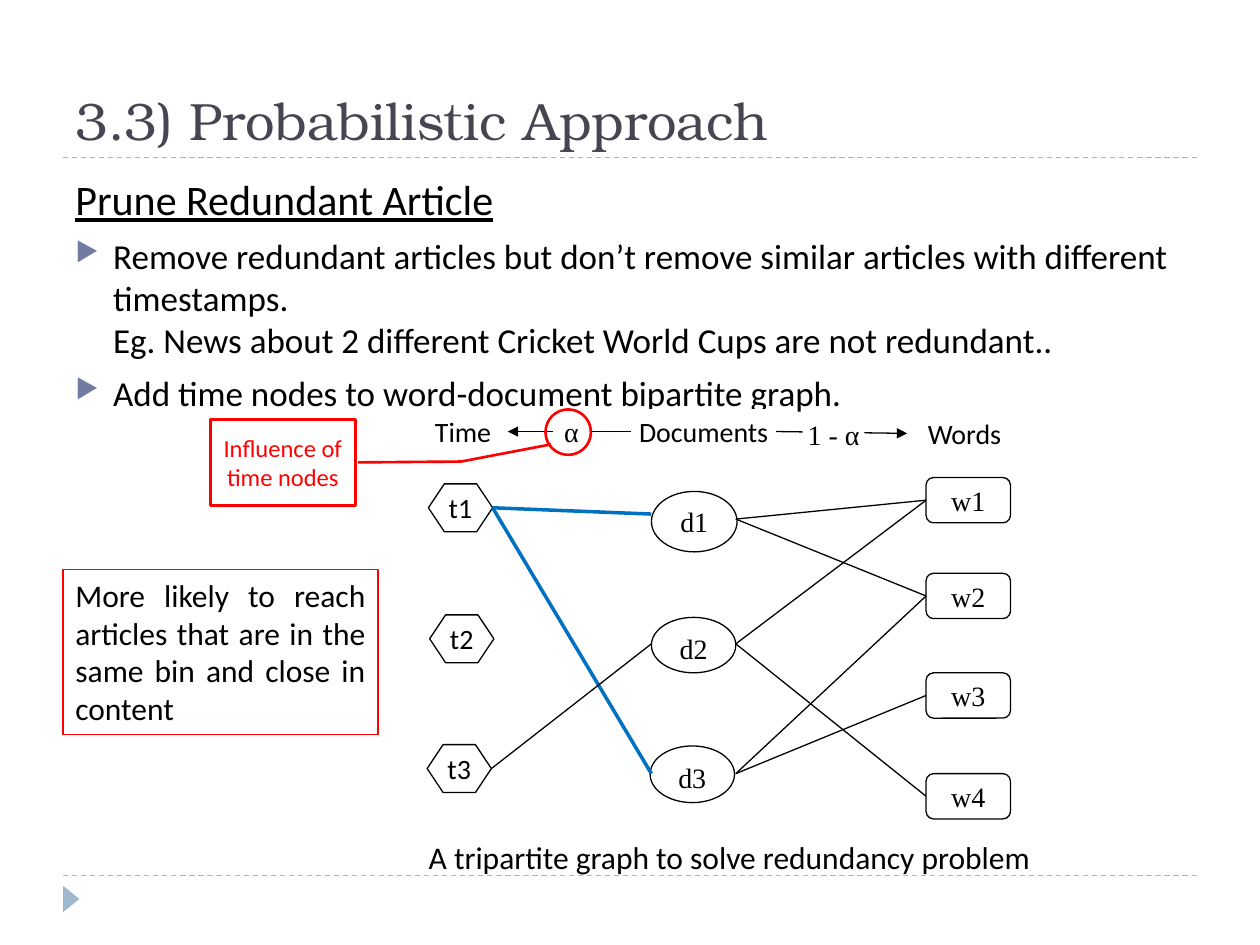
"""Build a slide on pruning redundant articles with a tripartite graph."""
from dataclasses import dataclass

from lxml.etree import SubElement
from pptx import Presentation
from pptx.dml.color import RGBColor
from pptx.enum.dml import MSO_LINE
from pptx.enum.shapes import MSO_CONNECTOR, MSO_SHAPE
from pptx.enum.text import MSO_ANCHOR, MSO_AUTO_SIZE, PP_ALIGN
from pptx.oxml.ns import qn
from pptx.util import Pt

PX = 9144


@dataclass(frozen=True)
class Theme:
    black: RGBColor = RGBColor(0x00, 0x00, 0x00)
    white: RGBColor = RGBColor(0xFF, 0xFF, 0xFF)
    red: RGBColor = RGBColor(0xFF, 0x00, 0x00)
    blue: RGBColor = RGBColor(0x00, 0x70, 0xC0)
    rule: RGBColor = RGBColor(0x9F, 0xB8, 0xCD)
    title: RGBColor = RGBColor(0x46, 0x46, 0x53)
    bullet: str = "727CA3"
    title_font: str = "TeX Gyre Bonum"
    sans: str = "Calibri"
    serif: str = "Times New Roman"
    title_size: int = 30
    heading_size: int = 24
    body_size: int = 20
    note_size: int = 18
    node_size: int = 16
    callout_size: int = 14


THEME = Theme()

presentation = Presentation()
presentation.slide_width = 1000 * PX
presentation.slide_height = 750 * PX
slide = presentation.slides.add_slide(presentation.slide_layouts[5])


def add_box(kind, box, text="", font=THEME.sans, size=THEME.node_size, color=THEME.black,
            fill=None, line=None, width=0.75, inset=(10, 5), anchor=MSO_ANCHOR.MIDDLE,
            align=PP_ALIGN.CENTER):
    place = [length * PX for length in box]
    if kind is None:
        shape = slide.shapes.add_textbox(*place)
    else:
        shape = slide.shapes.add_shape(kind, *place)
        shape.shadow.inherit = False
    if fill is None:
        shape.fill.background()
    else:
        shape.fill.solid()
        shape.fill.fore_color.rgb = fill
    if line is None:
        shape.line.fill.background()
    else:
        shape.line.color.rgb = line
        shape.line.width = Pt(width)
    frame = shape.text_frame
    frame.word_wrap = True
    frame.vertical_anchor = anchor
    frame.margin_left = frame.margin_right = inset[0] * PX
    frame.margin_top = frame.margin_bottom = inset[1] * PX
    frame.text = text
    for paragraph in frame.paragraphs:
        paragraph.alignment = align
        for run in paragraph.runs:
            run.font.name = font
            run.font.size = Pt(size)
            run.font.color.rgb = color
    return shape


def add_line(start, end, color=THEME.black, width=0.75):
    line = slide.shapes.add_connector(
        MSO_CONNECTOR.STRAIGHT, *[length * PX for length in (*start, *end)])
    line.line.color.rgb = color
    line.line.width = Pt(width)
    SubElement(line.element.spPr, qn("a:effectLst"))
    return line


for y in (695, 125):
    rule = add_line((50, y), (950, y), THEME.rule)
    rule.line.dash_style = MSO_LINE.DASH
marker = add_box(MSO_SHAPE.ISOSCELES_TRIANGLE, (46, 707, 21, 13), fill=THEME.rule)
marker.rotation = 90

title = slide.shapes.title
title.left, title.top, title.width, title.height = 50 * PX, 17 * PX, 900 * PX, 108 * PX
title.text_frame.text = "3.3) Probabilistic Approach"
title.text_frame.auto_size = MSO_AUTO_SIZE.NONE
title.text_frame.vertical_anchor = MSO_ANCHOR.BOTTOM
heading = title.text_frame.paragraphs[0]
heading.alignment = PP_ALIGN.LEFT
heading.runs[0].font.name = THEME.title_font
heading.runs[0].font.size = Pt(THEME.title_size)
heading.runs[0].font.color.rgb = THEME.title

body = add_box(
    None, (50, 133, 900, 540),
    "Prune Redundant Article\n"
    "Remove redundant articles but don’t remove similar articles with different timestamps."
    "\vEg. News about 2 different Cricket World Cups are not redundant..\n"
    "Add time nodes to word-document bipartite graph.",
    size=THEME.body_size, anchor=MSO_ANCHOR.TOP, align=PP_ALIGN.LEFT)
subtitle, *points = body.text_frame.paragraphs
subtitle.space_before = Pt(6)
subtitle.runs[0].font.size = Pt(THEME.heading_size)
subtitle.runs[0].font.underline = True
for point in points:
    point.space_before = Pt(6)
    properties = point._p.get_or_add_pPr()
    properties.set("marL", str(30 * PX))
    properties.set("indent", str(-30 * PX))
    bullet_color = SubElement(properties, qn("a:buClr"))
    SubElement(bullet_color, qn("a:srgbClr"), val=THEME.bullet)
    SubElement(properties, qn("a:buSzPct"), val="76000")
    SubElement(properties, qn("a:buChar"), char="▶")

documents = (("d1", (517, 390, 68, 48), MSO_ANCHOR.MIDDLE),
             ("d2", (517, 490, 67, 44), MSO_ANCHOR.TOP),
             ("d3", (516, 592, 67, 45), MSO_ANCHOR.TOP))
for name, box, anchor in documents:
    add_box(MSO_SHAPE.OVAL, box, name, THEME.serif, fill=THEME.white, line=THEME.black,
            anchor=anchor)

words = {}
for name, y in (("w1", 379), ("w2", 455), ("w3", 534), ("w4", 614)):
    words[name] = add_box(MSO_SHAPE.ROUNDED_RECTANGLE, (735, y, 67, 36), name, THEME.serif,
                          fill=THEME.white, line=THEME.black, inset=(5, 5))

for name, x, y in (("t1", 340, 384), ("t2", 341, 488), ("t3", 339, 591)):
    hexagon = add_box(MSO_SHAPE.HEXAGON, (x, y, 51, 38), name, fill=THEME.white,
                      line=THEME.black, inset=(5, 5))
    hexagon.adjustments[0] = 0.333

headers = {}
for name, box in (("Time", (332, 325, 71, 35)),
                  ("Documents", (501, 325, 115, 35)),
                  ("Words", (720, 326, 91, 36))):
    headers[name] = add_box(MSO_SHAPE.RECTANGLE, box, name, fill=THEME.white,
                            line=THEME.white, inset=(5, 5))

document_right = {"d1": (584, 412), "d2": (584, 511), "d3": (584, 614)}
for document, word in (("d1", "w1"), ("d1", "w2"), ("d2", "w1"),
                       ("d2", "w4"), ("d3", "w3"), ("d3", "w2")):
    edge = add_line(document_right[document], (735, 397))
    edge.end_connect(words[word], 1)

for start, end, color, width in (((391, 403), (517, 408), THEME.blue, 2),
                                 ((391, 403), (517, 614), THEME.blue, 2),
                                 ((390, 610), (517, 511), THEME.black, 0.75)):
    add_line(start, end, color, width)

for target, start_side, end_side in (("Time", 1, 3), ("Words", 3, 1)):
    arrow = add_line((501, 343), (403, 343))
    arrow.begin_connect(headers["Documents"], start_side)
    arrow.end_connect(headers[target], end_side)
    SubElement(arrow.line._get_or_add_ln(), qn("a:tailEnd"), type="triangle")

for text, box in (("α", (439, 329, 29, 27)), ("1 - α", (637, 331, 49, 27))):
    add_box(MSO_SHAPE.RECTANGLE, box, text, THEME.serif, fill=THEME.white, inset=(0, 0))

add_box(MSO_SHAPE.OVAL, (433, 325, 36, 36), line=THEME.red, width=1.5)
callout = add_box(MSO_SHAPE.LINE_CALLOUT_2, (167, 333, 115, 68), "Influence of time nodes",
                  size=THEME.callout_size, color=THEME.red, line=THEME.red, width=1.5)
for index, value in enumerate((0.5, 1.02, 0.49, 1.73, 0.29, 2.35)):
    callout.adjustments[index] = value

add_box(None, (300, 660, 558, 40), "A tripartite graph to solve redundancy problem",
        size=THEME.note_size, anchor=MSO_ANCHOR.TOP)
add_box(None, (50, 452, 250, 131),
        "More likely to reach articles that are in the same bin and close in content",
        size=THEME.note_size, line=THEME.red, anchor=MSO_ANCHOR.TOP, align=PP_ALIGN.JUSTIFY)

presentation.save("out.pptx")
